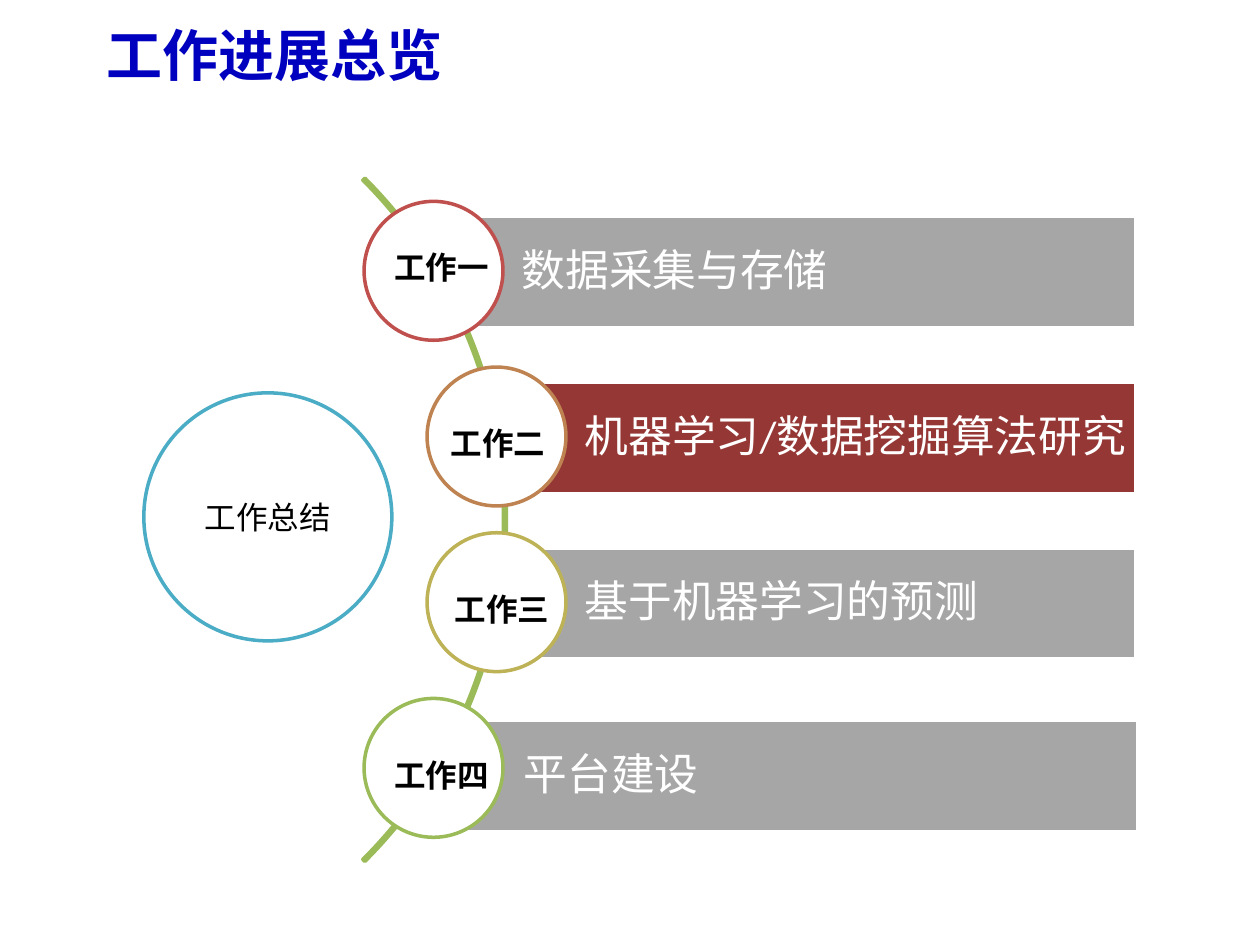
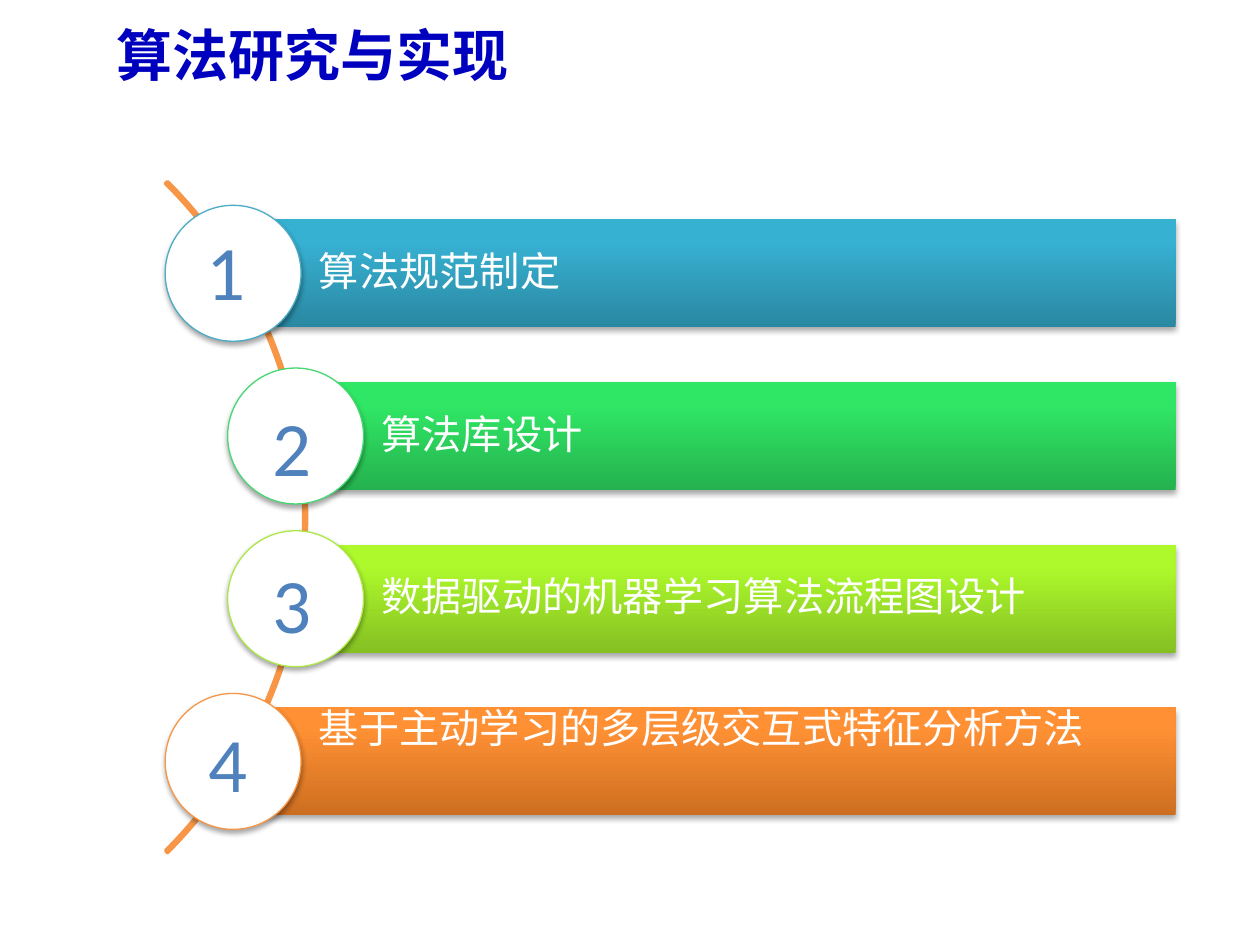
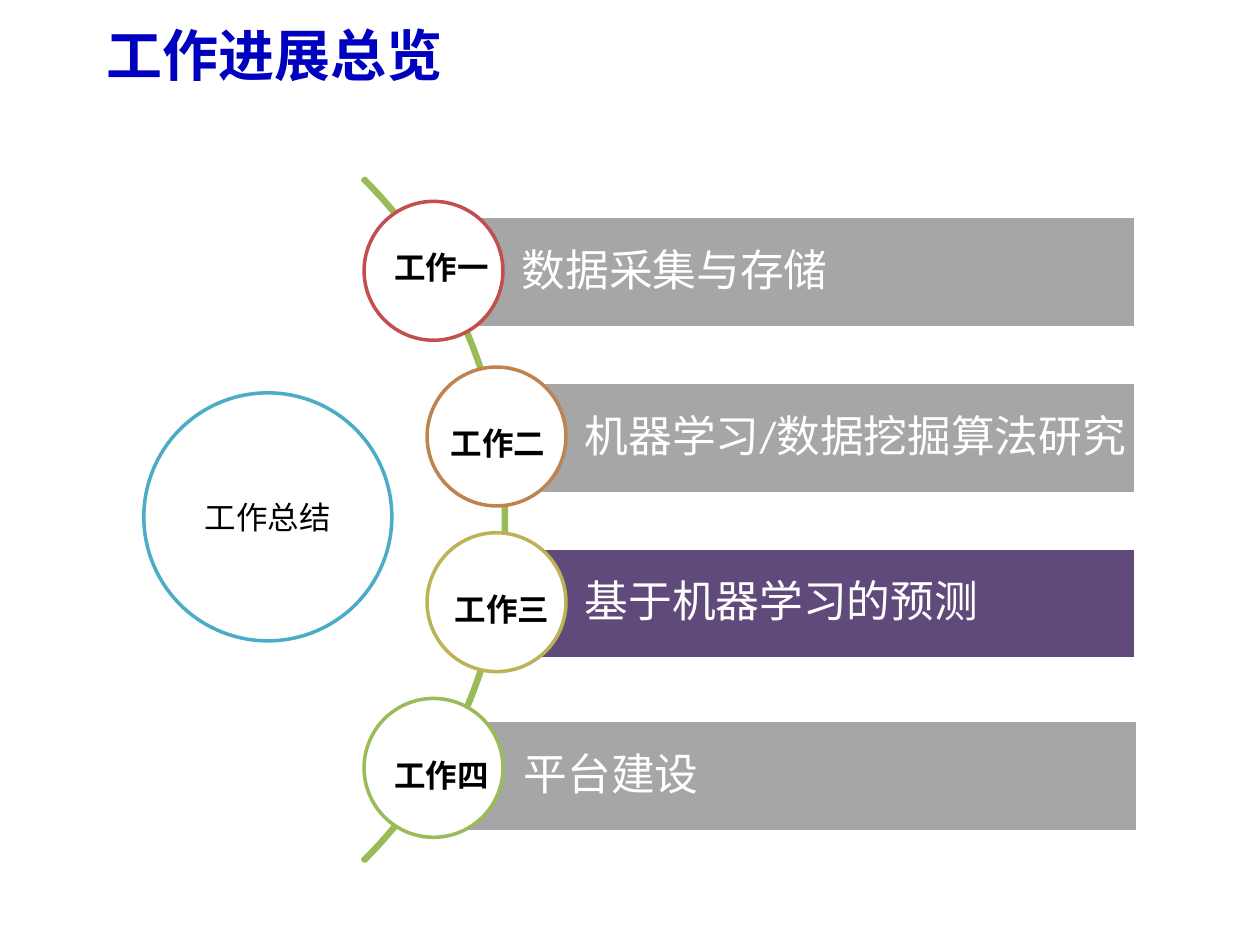
from dataclasses import dataclass
from lxml.etree import SubElement
from pptx import Presentation
from pptx.dml.color import RGBColor
from pptx.enum.lang import MSO_LANGUAGE_ID
from pptx.enum.shapes import MSO_SHAPE
from pptx.enum.text import MSO_ANCHOR, MSO_AUTO_SIZE, PP_ALIGN
from pptx.oxml.ns import qn
from pptx.util import Cm, Pt

WHITE = RGBColor(0xFF, 0xFF, 0xFF)
BLACK = RGBColor(0x00, 0x00, 0x00)
TITLE_BLUE = RGBColor(0x00, 0x00, 0xBF)
NUMBER_BLUE = RGBColor(0x4F, 0x81, 0xBD)
AQUA = RGBColor(0x4B, 0xAC, 0xC6)
GREEN = RGBColor(0x9B, 0xBB, 0x59)
ORANGE = RGBColor(0xF7, 0x96, 0x46)
RED = RGBColor(0xC0, 0x50, 0x4D)
BROWN = RGBColor(0xBE, 0x83, 0x51)
OLIVE = RGBColor(0xBD, 0xB2, 0x55)
EMERALD = RGBColor(0x47, 0xD8, 0x72)
LIME = RGBColor(0xAC, 0xE9, 0x46)
GREY = RGBColor(0xA6, 0xA6, 0xA6)
DARK_RED = RGBColor(0x95, 0x37, 0x35)
PURPLE = RGBColor(0x60, 0x4A, 0x7B)
AQUA_FADE = (RGBColor(0x2A, 0x88, 0xA2), RGBColor(0x37, 0xB1, 0xD2))
EMERALD_FADE = (RGBColor(0x25, 0xB2, 0x4E), RGBColor(0x30, 0xE7, 0x65))
LIME_FADE = (RGBColor(0x85, 0xC0, 0x22), RGBColor(0xAD, 0xF9, 0x2C))
ORANGE_FADE = (RGBColor(0xCC, 0x6E, 0x20), RGBColor(0xFF, 0x90, 0x34))

TITLE_FONT = {"name": "Noto Sans CJK SC", "size": Pt(32), "bold": True}
HUB_FONT = {"name": "Calibri", "size": Pt(18)}
TASK_FONT = {"name": "Calibri", "size": Pt(25)}
TASK_LABEL_FONT = {"name": "Calibri", "size": Pt(18), "bold": True}
STEP_FONT = {"name": "Calibri", "size": Pt(23)}
NUMBER_FONT = {"name": "Calibri", "size": Pt(44)}


@dataclass
class ArcList:
    arc: tuple
    arc_color: RGBColor
    circle_left: float
    circle_top: float
    circle_size: float
    indent: float
    step: float
    bar_top: float
    bar_height: float
    bar_right: float
    inset: float
    side_inset: float
    line_width: float
    font: dict
    shadow: bool

    def circle(self, index):
        shift = self.indent if index in (1, 2) else 0
        return (self.circle_left + shift, self.circle_top + index * self.step,
                self.circle_size, self.circle_size)

    def bar(self, index, nudge):
        left = self.circle(index)[0] + self.circle_size / 2
        return (left + nudge[0], self.bar_top + index * self.step + nudge[1],
                self.bar_right - left, self.bar_height)


TASK_LIST = ArcList(
    arc=(-9.27, 0.74, 19.48), arc_color=GREEN,
    circle_left=7.34, circle_top=4.06, circle_size=2.8, indent=1.27, step=3.34,
    bar_top=4.37, bar_height=2.24, bar_right=22.9, inset=1.78, side_inset=0.18,
    line_width=2, font=TASK_FONT, shadow=False)
STEP_LIST = ArcList(
    arc=(-12.95, 0.86, 19.13), arc_color=ORANGE,
    circle_left=3.33, circle_top=4.14, circle_size=2.74, indent=1.26, step=3.28,
    bar_top=4.42, bar_height=2.18, bar_right=23.7, inset=1.73, side_inset=0.15,
    line_width=0.75, font=STEP_FONT, shadow=True)

TASKS = [
    ("工作一", "数据采集与存储", RED, (7.7, 4.88), (0, 0)),
    ("工作二", "机器学习/数据挖掘算法研究", BROWN, (8.84, 8.43), (0, 0)),
    ("工作三", "基于机器学习的预测", OLIVE, (8.92, 11.76), (0, 0)),
    ("工作四", "平台建设", GREEN, (7.7, 15.11), (0.04, 0.14)),
]
STEPS = [
    ("1", "算法规范制定", AQUA, AQUA_FADE, (3.91, 4.39)),
    ("2", "算法库设计", EMERALD, EMERALD_FADE, (5.23, 7.92)),
    ("3", "数据驱动的机器学习算法流程图设计", LIME, LIME_FADE, (5.23, 11.1)),
    ("4", "基于主动学习的多层级交互式特征分析方法", ORANGE, ORANGE_FADE, (3.94, 14.3)),
]


class DeckBuilder:
    def __init__(self):
        self.deck = Presentation()
        self.deck.slide_width = Cm(25.4)
        self.deck.slide_height = Cm(19.05)
        self.page = None

    def add_page(self, title, left):
        self.page = self.deck.slides.add_slide(self.deck.slide_layouts[5])
        heading = self.page.shapes.title
        heading.left, heading.top = Cm(left), Cm(0)
        heading.width, heading.height = Cm(22.86), Cm(2.2)
        self.fill_text(heading, title, TITLE_FONT, TITLE_BLUE)

    def fill_text(self, box, text, font, color, align=PP_ALIGN.LEFT,
                  anchor=MSO_ANCHOR.MIDDLE, line_spacing=None, **margins):
        frame = box.text_frame
        frame.word_wrap = True
        frame.vertical_anchor = anchor
        for side, length in margins.items():
            setattr(frame, f"margin_{side}", Cm(length))
        para = frame.paragraphs[0]
        para.alignment = align
        para.line_spacing = line_spacing
        span = para.add_run()
        span.text = text
        for name, value in font.items():
            setattr(span.font, name, value)
        span.font.color.rgb = color
        span.font.language_id = MSO_LANGUAGE_ID.SIMPLIFIED_CHINESE

    def shape(self, kind, place, fill=None, line=None, line_width=2, shadow=False):
        shape = self.page.shapes.add_shape(kind, *map(Cm, place))
        shape.shadow.inherit = False
        if fill is None:
            shape.fill.background()
        elif isinstance(fill, RGBColor):
            shape.fill.solid()
            shape.fill.fore_color.rgb = fill
        else:
            shape.fill.gradient()
            shape.fill.gradient_angle = 90
            for stop, color, position in zip(shape.fill.gradient_stops, fill, (0, 0.8)):
                stop.color.rgb = color
                stop.position = position
        if line is None:
            shape.line.fill.background()
        else:
            shape.line.color.rgb = line
            shape.line.width = Pt(line_width)
        if shadow:
            self.cast_shadow(shape)
        return shape

    def cast_shadow(self, shape):
        effects = shape.element.spPr.find(qn("a:effectLst"))
        outer = SubElement(effects, qn("a:outerShdw"), blurRad=str(Pt(3.1)),
                           dist=str(Pt(1.8)), dir="5400000", rotWithShape="0")
        color = SubElement(outer, qn("a:srgbClr"), val="000000")
        SubElement(color, qn("a:alpha"), val="35000")

    def arc(self, style):
        left, top, size = style.arc
        arc = self.shape(MSO_SHAPE.BLOCK_ARC, (left, top, size, size),
                         line=style.arc_color)
        for index, value in enumerate((189, 27, 0.003)):
            arc.adjustments[index] = value

    def item(self, style, index, text, fill, ring, edge=None, nudge=(0, 0),
             anchor=MSO_ANCHOR.MIDDLE, top_inset=None):
        bar = self.shape(MSO_SHAPE.RECTANGLE, style.bar(index, nudge), fill, edge,
                         shadow=style.shadow)
        inset = style.side_inset
        self.fill_text(bar, text, style.font, WHITE, anchor=anchor, line_spacing=0.9,
                       left=style.inset, right=inset, bottom=inset,
                       top=inset if top_inset is None else top_inset)
        self.shape(MSO_SHAPE.OVAL, style.circle(index), WHITE, ring,
                   style.line_width, style.shadow)

    def label(self, text, place, size, font, color, align=PP_ALIGN.LEFT, wrap=True):
        box = self.page.shapes.add_textbox(*map(Cm, place + size))
        self.fill_text(box, text, font, color, align, MSO_ANCHOR.TOP)
        box.text_frame.word_wrap = wrap
        box.text_frame.auto_size = MSO_AUTO_SIZE.SHAPE_TO_FIT_TEXT

    def overview_page(self, current, highlight):
        self.add_page("工作进展总览", 1.9)
        hub = self.shape(MSO_SHAPE.OVAL, (2.9, 7.92, 5, 5), WHITE, AQUA)
        self.fill_text(hub, "工作总结", HUB_FONT, BLACK, PP_ALIGN.CENTER)
        self.arc(TASK_LIST)
        for index, (name, text, ring, place, nudge) in enumerate(TASKS):
            fill = highlight if index == current else GREY
            self.item(TASK_LIST, index, text, fill, ring, WHITE, nudge)
            self.label(name, place, (2.8, 1.02), TASK_LABEL_FONT, BLACK)

    def algorithm_page(self):
        self.add_page("算法研究与实现", 2.1)
        self.arc(STEP_LIST)
        for index, (number, text, ring, fade, place) in enumerate(STEPS):
            raised = {"anchor": MSO_ANCHOR.TOP, "top_inset": 0.03} if number == "4" else {}
            self.item(STEP_LIST, index, text, fade, ring, **raised)
            self.label(number, place, (1.3, 2.13), NUMBER_FONT, NUMBER_BLUE,
                       PP_ALIGN.CENTER, wrap=False)


def main():
    builder = DeckBuilder()
    builder.overview_page(1, DARK_RED)
    builder.algorithm_page()
    builder.overview_page(2, PURPLE)
    builder.deck.save("out.pptx")


if __name__ == "__main__":
    main()
